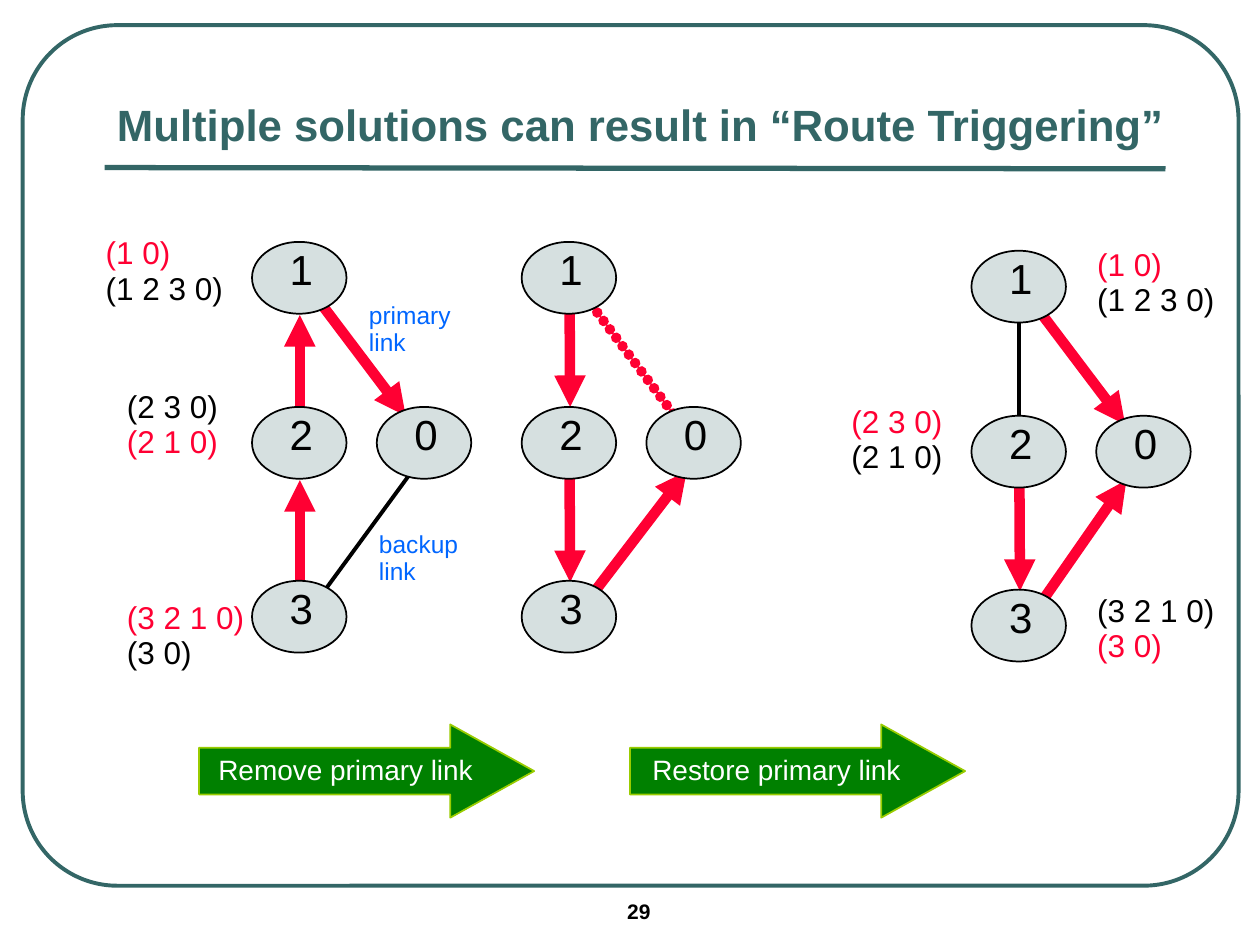
from dataclasses import dataclass

import lxml.etree
import pptx
import pptx.dml.color
import pptx.enum.shapes
import pptx.enum.text
import pptx.oxml.ns
import pptx.util

SHAPES = pptx.enum.shapes.MSO_SHAPE
ANCHOR = pptx.enum.text.MSO_ANCHOR
ALIGN = pptx.enum.text.PP_ALIGN


@dataclass(frozen=True)
class Theme:
    font: str = "Arial"
    teal: str = "336666"
    red: str = "FF0033"
    black: str = "000000"
    white: str = "FFFFFF"
    blue: str = "0066FF"
    node: str = "D6E0E0"
    green: str = "008000"
    lime: str = "99CC00"
    title_size: int = 25
    node_size: int = 24
    path_size: int = 18
    step_size: int = 16
    note_size: int = 14
    number_size: int = 12
    line_spacing: float = 0.93


THEME = Theme()

# The slide is a grid of 100 columns by 75 rows; all lengths are in cells.
SLIDE_WIDTH, SLIDE_HEIGHT = pptx.util.Inches(10), pptx.util.Inches(7.5)
COLUMN, ROW = SLIDE_WIDTH // 100, SLIDE_HEIGHT // 75

# Node corners and size inside a network diagram
NODES = {"1": (0, 0), "0": (9.9, 13.1), "2": (0, 13.1), "3": (0, 26.9)}
NODE_WIDTH, NODE_HEIGHT = 7.5, 5.7


def place(left, top, width, height):
    return (round(left * COLUMN), round(top * ROW),
            round(width * COLUMN), round(height * ROW))


def color(value):
    return pptx.dml.color.RGBColor.from_string(value)


def write(shape, lines, size, bold=False, align=ALIGN.LEFT,
          anchor=ANCHOR.TOP, wrap=True):
    """Write (text, color) lines, one paragraph each."""
    frame = shape.text_frame
    frame.word_wrap = wrap
    frame.vertical_anchor = anchor
    for index, (text, ink) in enumerate(lines):
        paragraph = frame.add_paragraph() if index else frame.paragraphs[0]
        paragraph.alignment = align
        paragraph.line_spacing = THEME.line_spacing
        run = paragraph.add_run()
        run.text = text
        run.font.name = THEME.font
        run.font.size = pptx.util.Pt(size)
        run.font.bold = bold
        run.font.color.rgb = color(ink)


def add_text(slide, box, lines, size, **options):
    write(slide.shapes.add_textbox(*place(*box)), lines, size, **options)


def add_outline(slide, kind, box, line, width, fill=None):
    shape = slide.shapes.add_shape(kind, *place(*box))
    shape.shadow.inherit = False
    if fill:
        shape.fill.solid()
        shape.fill.fore_color.rgb = color(fill)
    else:
        shape.fill.background()
    shape.line.color.rgb = color(line)
    shape.line.width = pptx.util.Pt(width)
    return shape


def add_line(slide, start, end, ink, width, arrow=False, dotted=False):
    connector = slide.shapes.add_connector(
        pptx.enum.shapes.MSO_CONNECTOR.STRAIGHT, *place(*start, *end))
    connector.line.color.rgb = color(ink)
    connector.line.width = pptx.util.Pt(width)
    name = pptx.oxml.ns.qn
    line = connector.line._get_or_add_ln()
    if dotted:
        line.set("cap", "rnd")
        dashes = lxml.etree.SubElement(line, name("a:custDash"))
        lxml.etree.SubElement(dashes, name("a:ds"), d="1000", sp="99000")
    if arrow:
        lxml.etree.SubElement(line, name("a:tailEnd"), type="triangle")
    lxml.etree.SubElement(connector._element.spPr, name("a:effectLst"))


def add_page(slide, left, top, width, height):
    """Frame, title with its rule, and slide number."""
    frame = add_outline(slide, SHAPES.ROUNDED_RECTANGLE,
                        (left, top, width, height), THEME.teal, 2.25)
    frame.adjustments[0] = 0.11
    add_line(slide, (left + 6.5, top + 11.3), (left + 90.7, top + 11.4),
             THEME.teal, 3)
    add_text(slide, (left + 6.5, top + 3.8, 87.5, 6.7),
             [("Multiple solutions can result in “Route Triggering”",
               THEME.teal)],
             THEME.title_size, bold=True, anchor=ANCHOR.BOTTOM)
    add_text(slide, (left + 47, top + 69, 11.7, 2.9),
             [("29", THEME.black)], THEME.number_size, bold=True)


def add_network(slide, left, top, links):
    """Four nodes over their links; links are (start, end, style)."""
    styles = {
        "active": dict(ink=THEME.red, width=6, arrow=True),
        "removed": dict(ink=THEME.red, width=6, dotted=True),
        "idle": dict(ink=THEME.black, width=2.25),
    }
    for start, end, style in links:
        add_line(slide, (left + start[0], top + start[1]),
                 (left + end[0], top + end[1]), **styles[style])
    for label, (across, down) in NODES.items():
        x, y = left + across, top + down
        add_outline(slide, SHAPES.OVAL, (x, y, NODE_WIDTH, NODE_HEIGHT),
                    THEME.black, 1, THEME.node)
        add_text(slide, (x + 2, y, 3.9, 4.7), [(label, THEME.black)],
                 THEME.node_size, wrap=False)


def add_paths(slide, left, top, width, first, second, chosen):
    """Two candidate paths, the chosen one (0 or 1) in red."""
    lines = [(text, THEME.red if index == chosen else THEME.black)
             for index, text in enumerate((first, second))]
    add_text(slide, (left, top, width, 6.8), lines, THEME.path_size,
             wrap=False)


def add_step(slide, left, top, text):
    """Block arrow naming the change between two networks."""
    arrow = add_outline(slide, SHAPES.RIGHT_ARROW, (left, top, 26.6, 7.4),
                        THEME.lime, 1, THEME.green)
    arrow.adjustments[0], arrow.adjustments[1] = 0.5, 0.9
    write(arrow, [(text, THEME.white)], THEME.step_size,
          align=ALIGN.CENTER, anchor=ANCHOR.MIDDLE)


def main():
    presentation = pptx.Presentation()
    presentation.slide_width, presentation.slide_height = SLIDE_WIDTH, SLIDE_HEIGHT
    slide = presentation.slides.add_slide(presentation.slide_layouts[6])
    add_page(slide, 1.8, 2, 96.5, 68.3)

    # Candidate paths beside the first and last networks
    for paths in (
        (7.4, 18.3, 11.3, "(1 0)", "(1 2 3 0)", 0),
        (9.1, 30.5, 9.3, "(2 3 0)", "(2 1 0)", 1),
        (9.1, 47.2, 11.3, "(3 2 1 0)", "(3 0)", 0),
        (86.1, 19.2, 11.3, "(1 0)", "(1 2 3 0)", 0),
        (66.6, 31.7, 9.3, "(2 3 0)", "(2 1 0)", 0),
        (86.1, 46.7, 11.3, "(3 2 1 0)", "(3 0)", 1),
    ):
        add_paths(slide, *paths)

    # Steps between the networks
    add_step(slide, 15.8, 57.5, "Remove primary link")
    add_step(slide, 50, 57.5, "Restore primary link")

    # Networks before, during and after the primary link is down
    primary = ((4.5, 3.6), (12.2, 13.8), "active")
    two_to_three = ((3.8, 16.8), (3.85, 27), "active")
    add_network(slide, 20, 19.2, [
        ((3.8, 29.8), (3.8, 18.9), "active"),
        ((3.8, 16), (3.8, 5.8), "active"),
        primary,
        ((13.8, 16.7), (5.3, 28.3), "idle")])
    add_network(slide, 41.4, 19.2, [
        two_to_three,
        ((3.8, 2.9), (3.85, 13.1), "active"),
        ((4.5, 3.6), (13.8, 16), "removed"),
        ((5.3, 28.4), (13.1, 18.2), "active")])
    add_network(slide, 77.1, 19.9, [
        two_to_three,
        ((3.8, 2.9), (3.8, 16), "idle"),
        primary,
        ((5.2, 28.4), (12.3, 18.2), "active")])

    # Link names
    for left, top, word in ((28.3, 23.5, "primary"), (29.1, 41.7, "backup")):
        add_text(slide, (left, top, 9, 5.5),
                 [(word, THEME.blue), ("link", THEME.blue)],
                 THEME.note_size, wrap=False)

    presentation.save("out.pptx")


if __name__ == "__main__":
    main()
